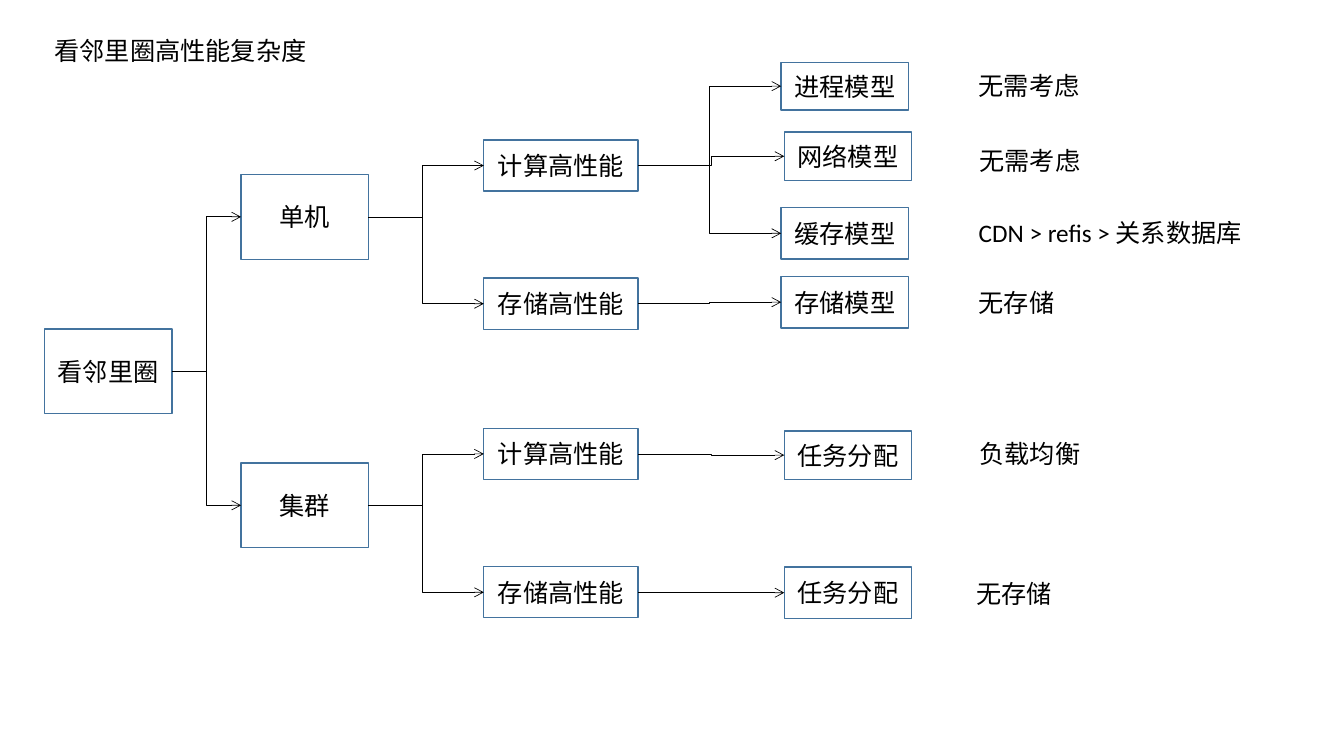
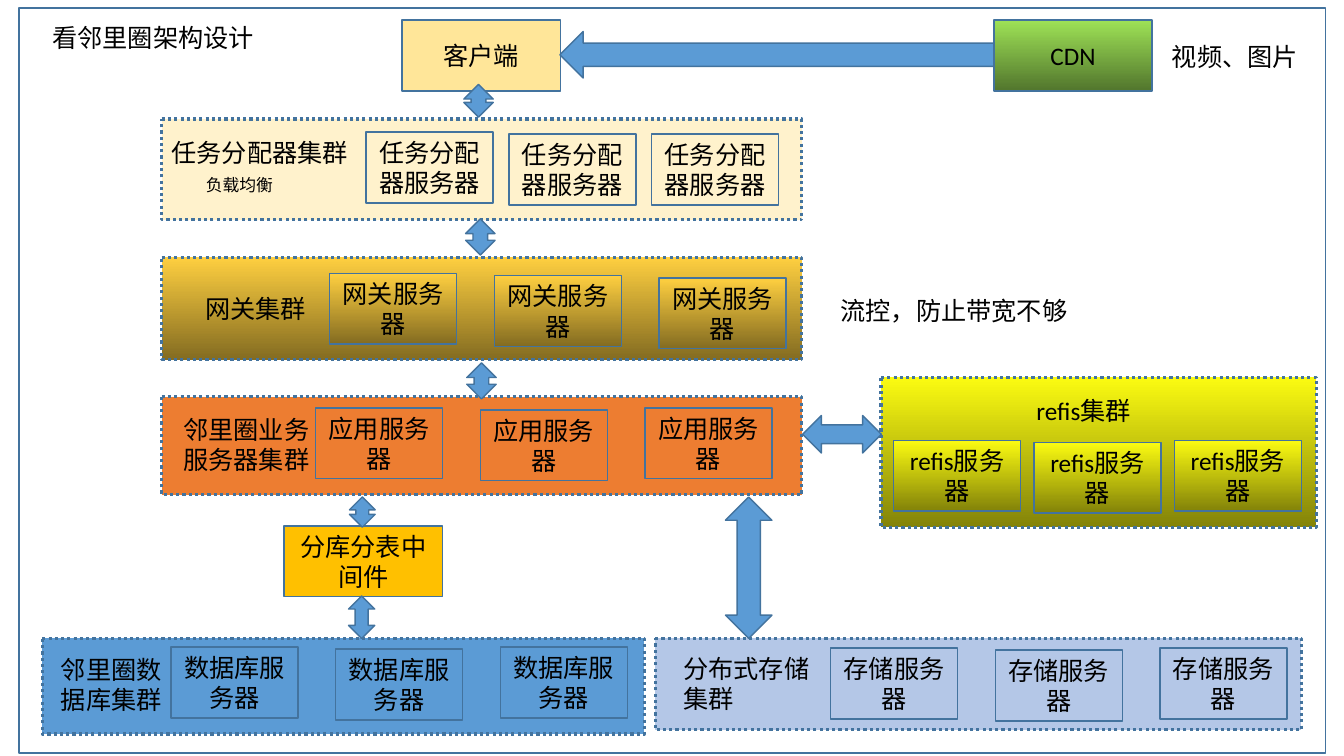
from dataclasses import dataclass

from lxml.etree import SubElement
from pptx import Presentation
from pptx.dml.color import RGBColor
from pptx.enum.dml import MSO_LINE
from pptx.enum.shapes import MSO_CONNECTOR, MSO_SHAPE as SHAPE
from pptx.enum.text import MSO_ANCHOR as ANCHOR, MSO_AUTO_SIZE as FIT, PP_ALIGN as ALIGN
from pptx.oxml.ns import qn
from pptx.util import Pt


@dataclass(frozen=True)
class Theme:
    font: str = "Calibri"
    size: int = 18
    small: int = 12
    text: str = "000000"
    outline: str = "43739E"
    arrow: str = "5B9BD5"
    client: str = "FFE699"
    cdn: tuple = ("9EE256", "52762D")
    dispatch: str = "FFF2CC"
    gateway: tuple = ("FECF40", "846C21")
    service: str = "ED7D31"
    memory: tuple = ("FBFB11", "838309")
    middleware: str = "FFC000"
    database: str = "5B9BD5"
    storage: str = "B4C7E7"


@dataclass(frozen=True)
class Box:
    left: float
    top: float
    width: float
    height: float

    def inner(self, left, top, width, height):
        return Box(self.left + left, self.top + top, width, height)

    def lengths(self):
        return [Pt(value) for value in (self.left, self.top, self.width, self.height)]


@dataclass(frozen=True)
class Node:
    text: str
    place: tuple
    children: tuple = ()
    bend: float = 0.5
    note: tuple = ()


@dataclass(frozen=True)
class Cluster:
    place: tuple
    fill: object
    label: str
    label_place: tuple
    server: str
    first: tuple
    pitch: float
    drops: tuple = (0, 1.4, 0)
    subtitle: str = ""


THEME = Theme()
PAGE = Box(0, 0, 960, 540)
LINE_HEIGHT = 29
SERVER = (90.7, 50.5)


# Shared parts
def write(frame, text, *, size=THEME.size, align=ALIGN.LEFT, anchor=ANCHOR.TOP,
          new_para=False, before=0, indent=0):
    frame.word_wrap = True
    frame.vertical_anchor = anchor
    para = frame.add_paragraph() if new_para else frame.paragraphs[0]
    para.alignment = align
    para.space_before = Pt(before)
    span = para.add_run()
    span.text = text
    span.font.name = THEME.font
    span.font.size = Pt(size)
    span.font.color.rgb = RGBColor.from_string(THEME.text)
    if indent:
        para._p.get_or_add_pPr().set("marL", str(Pt(indent)))


def add_title(page, text, box):
    title = page.shapes.title
    title.left, title.top, title.width, title.height = box.lengths()
    title.text_frame.auto_size = FIT.NONE
    write(title.text_frame, text)


def add_label(page, text, box):
    frame = page.shapes.add_textbox(*box.lengths()).text_frame
    write(frame, text)
    return frame


def add_block(page, box, text="", fill=None, kind=SHAPE.FLOWCHART_PROCESS, dotted=False):
    block = page.shapes.add_shape(kind, *box.lengths())
    block.shadow.inherit = False
    if fill is None:
        block.fill.background()
    elif isinstance(fill, tuple):
        block.fill.gradient()
        block.fill.gradient_angle = 270
        for stop, color in zip(block.fill.gradient_stops, fill):
            stop.color.rgb = RGBColor.from_string(color)
    else:
        block.fill.solid()
        block.fill.fore_color.rgb = RGBColor.from_string(fill)
    block.line.color.rgb = RGBColor.from_string(THEME.outline)
    block.line.width = Pt(2.25 if dotted else 1)
    if dotted:
        block.line.dash_style = MSO_LINE.ROUND_DOT
    if text:
        write(block.text_frame, text, align=ALIGN.CENTER, anchor=ANCHOR.MIDDLE)
    return block


def add_elbow(page, parent, child, bend):
    elbow = page.shapes.add_connector(MSO_CONNECTOR.ELBOW, 0, 0, 0, 0)
    elbow.begin_connect(parent, 3)
    elbow.end_connect(child, 1)
    elbow.line.color.rgb = RGBColor.from_string(THEME.text)
    elbow.line.width = Pt(0.5)
    SubElement(elbow.line._get_or_add_ln(), qn("a:tailEnd"), type="arrow")
    properties = elbow._element.spPr
    guides = properties.find(qn("a:prstGeom")).find(qn("a:avLst"))
    SubElement(guides, qn("a:gd"), name="adj1", fmla=f"val {round(bend * 100000)}")
    SubElement(properties, qn("a:effectLst"))


# Complexity tree
def draw_tree(page, box, node):
    block = add_block(page, box.inner(*node.place), node.text)
    for child in node.children:
        add_elbow(page, block, draw_tree(page, box, child), node.bend)
    if node.note:
        text, left, top, width = node.note
        add_label(page, text, box.inner(left, top, width, LINE_HEIGHT))
    return block


def leaf(text, left, top, height, *note):
    return Node(text, (left, top, 91, height), note=note)


def branch(text, top, *children):
    return Node(text, (345.6, top, 110.2, 36.5), children)


def machine(text, top, *children):
    return Node(text, (172.2, top, 91, 60.5), children, bend=0.47)


COMPLEXITY = Node("看邻里圈", (31.8, 234.9, 91, 60.5), (
    machine(
        "单机", 124.7,
        branch("计算高性能", 100,
               leaf("进程模型", 558, 44.6, 34, "无需考虑", 692, 46.8, 92),
               leaf("网络模型", 560.2, 94.3, 34.6, "无需考虑", 692.6, 100, 92),
               leaf("缓存模型", 558, 148.3, 36.7, "CDN > refis > 关系数据库", 692, 152, 267)),
        branch("存储高性能", 198.7,
               leaf("存储模型", 558, 197.5, 36.7, "无存储", 692, 201.6, 107))),
    machine(
        "集群", 330.7,
        branch("计算高性能", 306,
               leaf("任务分配", 560.2, 307.8, 34.6, "负载均衡", 692.6, 309.6, 107)),
        branch("存储高性能", 404.8,
               leaf("任务分配", 560.2, 405, 36.7, "无存储", 690.5, 409.7, 114))),
))


def draw_complexity(page, box):
    add_title(page, "看邻里圈高性能复杂度", box.inner(31.7, 21.6, 446, LINE_HEIGHT))
    draw_tree(page, box, COMPLEXITY)


# Architecture
CLUSTERS = (
    Cluster((115.5, 85, 457.2, 72), THEME.dispatch, "任务分配器集群", (0, 9.4, 150, 51),
            "任务分配器服务器", (146, 9.4), 102, (0, 1.4, 1.4), "负载均衡"),
    Cluster((115.5, 183.8, 457.2, 73), THEME.gateway, "网关集群", (24, 22.3, 90, LINE_HEIGHT),
            "网关服务器", (120, 11.5), 117.6, (0, 1.5, 3.3)),
    Cluster((115.5, 283.5, 457.2, 70), THEME.service, "邻里圈业务服务器集群",
            (8.4, 8.6, 111.6, 51), "应用服务器", (110, 8), 117.6),
    Cluster((629.3, 269.5, 311, 107), THEME.memory, "refis集群", (104, 9.4, 91.5, LINE_HEIGHT),
            "refis服务器", (9, 45), 100.3),
    Cluster((30.2, 455.8, 430, 68.5), THEME.database, "邻里圈数据库集群",
            (6.2, 8, 93.6, 51), "数据库服务器", (92, 6.5), 117.6),
    Cluster((468, 455.8, 461.5, 65.5), THEME.storage, "分布式存储集群",
            (13, 7.2, 108, 51), "存储服务器", (125.3, 7.2), 117.6),
)
BLOCKS = (
    ("客户端", (287.3, 14.4, 113, 50.5), THEME.client),
    ("CDN", (710, 14.4, 113, 50.5), THEME.cdn),
    ("分库分表中间件", (203, 375.8, 113, 50.5), THEME.middleware),
)
ARROWS = (
    (SHAPE.LEFT_ARROW, (400, 22.5, 310, 33.2)),
    (SHAPE.UP_DOWN_ARROW, (331.3, 60.3, 21, 23.4)),
    (SHAPE.UP_DOWN_ARROW, (332.6, 156.4, 21, 25.8)),
    (SHAPE.UP_DOWN_ARROW, (333.4, 259.2, 21, 25.8)),
    (SHAPE.UP_DOWN_ARROW, (249.6, 355, 18.4, 21.6)),
    (SHAPE.UP_DOWN_ARROW, (249, 425.7, 18.7, 30.4)),
    (SHAPE.UP_DOWN_ARROW, (518.2, 355, 33.2, 101)),
    (SHAPE.LEFT_RIGHT_ARROW, (573.3, 296.8, 56.3, 26.8)),
)
REMARKS = (
    ("视频、图片", (830, 26, 104.5, LINE_HEIGHT)),
    ("流控，防止带宽不够", (593.3, 207.4, 180, LINE_HEIGHT)),
)


def draw_cluster(page, box, cluster):
    add_block(page, box, fill=cluster.fill, dotted=True)
    left, top = cluster.first
    for index, drop in enumerate(cluster.drops):
        server_box = box.inner(left + index * cluster.pitch, top + drop, *SERVER)
        add_block(page, server_box, cluster.server, cluster.fill)
    frame = add_label(page, cluster.label, box.inner(*cluster.label_place))
    if cluster.subtitle:
        write(frame, cluster.subtitle, size=THEME.small, new_para=True, before=5, indent=24.4)


def draw_architecture(page, box):
    add_block(page, box.inner(13.7, 5.8, 933, 532))
    add_title(page, "看邻里圈架构设计", box.inner(30.2, 12.3, 446, LINE_HEIGHT))
    for cluster in CLUSTERS:
        draw_cluster(page, box.inner(*cluster.place), cluster)
    for text, place, fill in BLOCKS:
        add_block(page, box.inner(*place), text, fill)
    for kind, place in ARROWS:
        add_block(page, box.inner(*place), fill=THEME.arrow, kind=kind)
    for text, place in REMARKS:
        add_label(page, text, box.inner(*place))


# Deck
deck = Presentation()
deck.slide_width, deck.slide_height = Pt(PAGE.width), Pt(PAGE.height)
title_only = deck.slide_layouts[5]
for draw in (draw_complexity, draw_architecture):
    draw(deck.slides.add_slide(title_only), PAGE)
deck.save("out.pptx")
